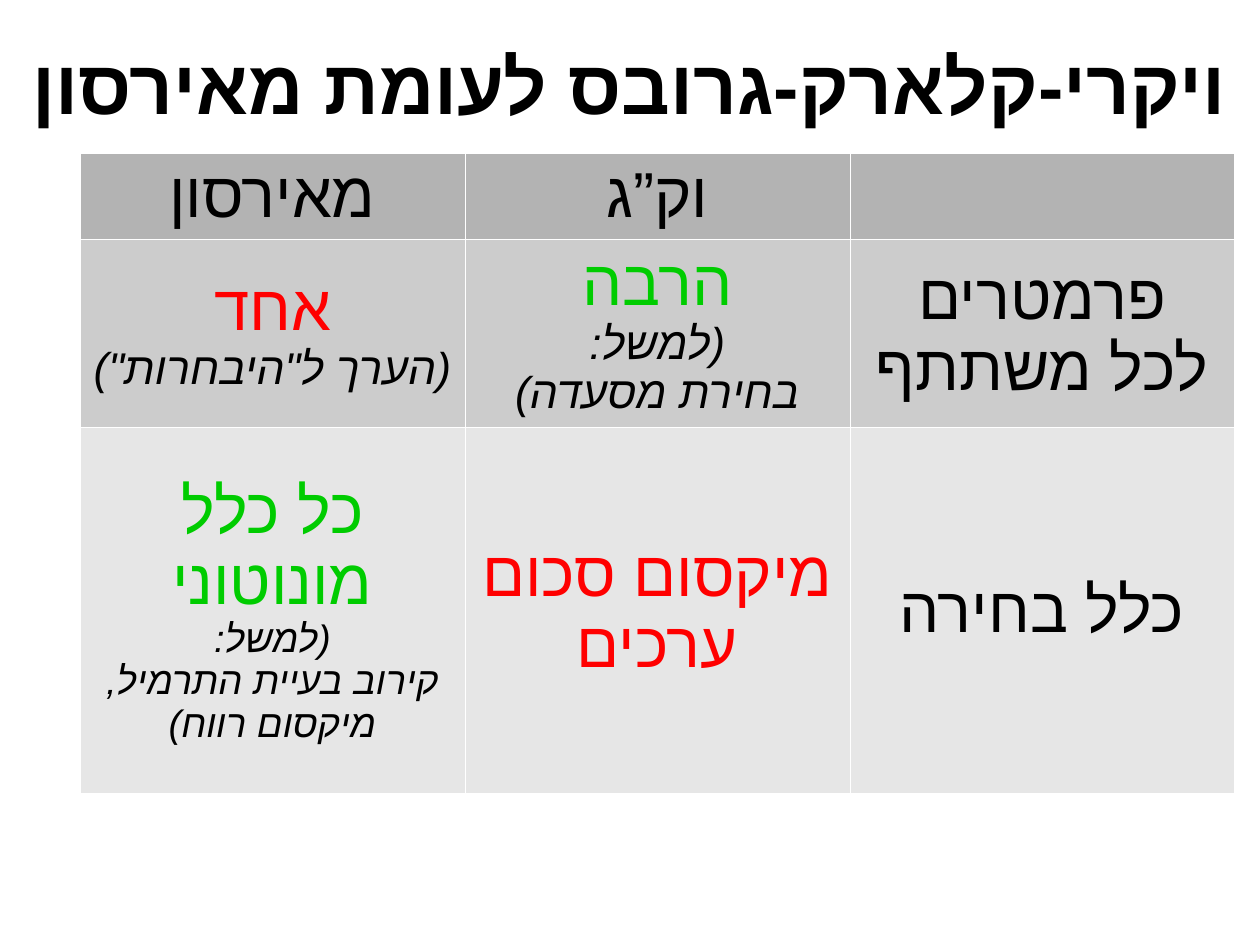
import pptx
import pptx.util
import pptx.dml.color
import pptx.enum.text
import pptx.oxml
import pptx.oxml.ns
from dataclasses import dataclass

Cm = pptx.util.Cm
Pt = pptx.util.Pt
RGB = pptx.dml.color.RGBColor.from_string


@dataclass(frozen=True)
class Theme:
    font: str = "Arial"
    ink: str = "000000"
    good: str = "00CC00"
    bad: str = "FF0000"
    border: str = "FFFFFF"
    border_width: float = 0.06
    row_fills: tuple = ("B3B3B3", "CCCCCC", "E6E6E6")
    title: int = 48
    body: int = 40
    note: int = 28
    small_note: int = 24


THEME = Theme()


def add_text(p, text, size=THEME.body, color=THEME.ink, bold=False, italic=False):
    """Add right-to-left centred text; a newline becomes a line break."""
    p.alignment = pptx.enum.text.PP_ALIGN.CENTER
    p._p.get_or_add_pPr().set("rtl", "1")
    for i, line in enumerate(text.split("\n")):
        if i:
            p.add_line_break()
        if not line:
            continue
        r = p.add_run()
        r.text = line
        f = r.font
        f.size, f.bold, f.italic, f.name = Pt(size), bold, italic, THEME.font
        f.color.rgb = RGB(color)
        # Hebrew takes the complex-script font
        cs = pptx.oxml.ns.qn("a:cs")
        r._r.get_or_add_rPr().append(r._r.makeelement(cs, {"typeface": THEME.font}))


def add_title(slide, text):
    sp = slide.shapes.title
    sp.left, sp.top, sp.width, sp.height = Cm(0), Cm(0.36), Cm(28), Cm(3)
    tf = sp.text_frame
    tf.word_wrap = True
    tf.auto_size = pptx.enum.text.MSO_AUTO_SIZE.NONE
    tf.vertical_anchor = pptx.enum.text.MSO_ANCHOR.MIDDLE
    tf.margin_left = tf.margin_right = tf.margin_top = tf.margin_bottom = 0
    add_text(tf.paragraphs[0], text, size=THEME.title, bold=True)


def set_borders(cell):
    tcPr = cell._tc.get_or_add_tcPr()
    for i, side in enumerate(("lnL", "lnR", "lnT", "lnB")):
        tcPr.insert(i, pptx.oxml.parse_xml(
            f'<a:{side} {pptx.oxml.ns.nsdecls("a")} w="{Pt(THEME.border_width)}">'
            f'<a:solidFill><a:srgbClr val="{THEME.border}"/></a:solidFill></a:{side}>'))


def fill_cell(cell, paragraphs, fill):
    cell.fill.solid()
    cell.fill.fore_color.rgb = RGB(fill)
    cell.vertical_anchor = pptx.enum.text.MSO_ANCHOR.MIDDLE
    set_borders(cell)
    tf = cell.text_frame
    for i, runs in enumerate(paragraphs):
        p = tf.add_paragraph() if i else tf.paragraphs[0]
        for text, style in runs:
            add_text(p, text, **style)


def add_comparison(slide, rows, heights):
    width = Cm(25.65)
    table = slide.shapes.add_table(len(rows), len(rows[0]), Cm(1.78), Cm(3.4),
                                   width, sum(heights)).table
    table.first_row = table.horz_banding = False
    for col in table.columns:
        col.width = width // len(rows[0])
    for r, (cells, height) in enumerate(zip(rows, heights)):
        table.rows[r].height = height
        for c, paragraphs in enumerate(cells):
            fill_cell(table.cell(r, c), paragraphs, THEME.row_fills[r])


def main():
    prs = pptx.Presentation()
    prs.slide_width, prs.slide_height = Cm(28), Cm(21)
    slide = prs.slides.add_slide(prs.slide_layouts[5])
    add_title(slide, "ויקרי-קלארק-גרובס לעומת מאירסון")

    # Text styles used in the table
    plain = {}
    good = {"color": THEME.good}
    bad = {"color": THEME.bad}
    note = {"size": THEME.note, "italic": True}
    small_note = {"size": THEME.small_note, "italic": True}

    # Each cell is a list of paragraphs, each paragraph a list of runs
    rows = [
        [[[("מאירסון", plain)]],
         [[("וק”ג", plain)]],
         []],
        [[[("אחד\n", bad), ("(הערך ל\"היבחרות\")", note)]],
         [[("הרבה", good)], [("(למשל:\nבחירת מסעדה)", note)]],
         [[("פרמטרים לכל משתתף", plain)]]],
        [[[("כל כלל מונוטוני", good)],
          [("(למשל:\nקירוב בעיית התרמיל, מיקסום רווח)", small_note)]],
         [[("מיקסום סכום ערכים", bad)]],
         [[("כלל בחירה", plain)]]],
    ]
    add_comparison(slide, rows, [Cm(1.91), Cm(4.19), Cm(8.13)])
    prs.save("out.pptx")


if __name__ == "__main__":
    main()
